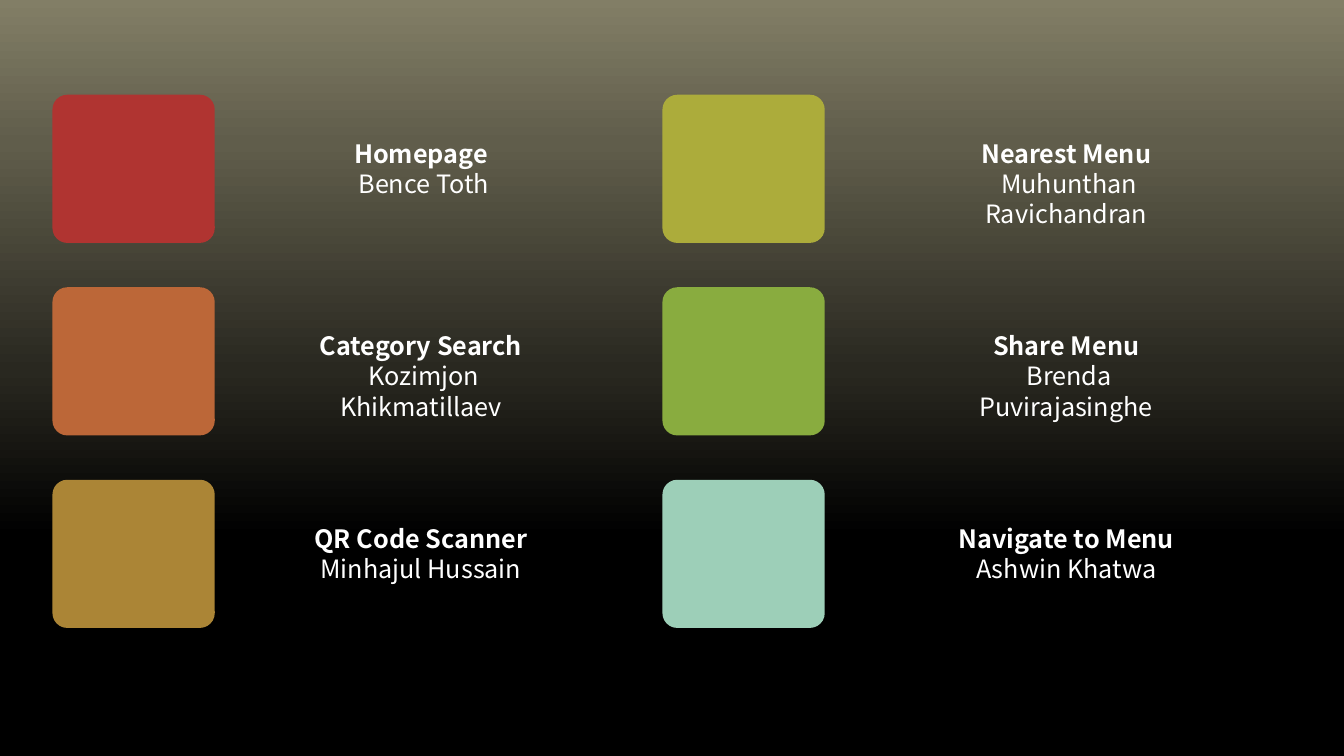
from copy import deepcopy

from pptx import Presentation
from pptx.dml.color import RGBColor
from pptx.enum.shapes import MSO_SHAPE
from pptx.enum.text import MSO_AUTO_SIZE, PP_ALIGN
from pptx.oxml.ns import qn
from pptx.util import Inches, Pt

ROUNDED = MSO_SHAPE.ROUNDED_RECTANGLE
CENTER = PP_ALIGN.CENTER
FIT_SHAPE = MSO_AUTO_SIZE.SHAPE_TO_FIT_TEXT

FONT = "Noto Sans CJK TC"
GRADIENT = [(0, "827E66"), (0.19, "605D4B"), (0.49, "292820"), (0.71, "000000")]
ROW_PITCH = 1.91
# Each column: tile left, label left, then (feature, member, tile colour) by row
COLUMNS = [
    (0.52, 2.89, [
        ("Homepage", " Bence Toth", "B03431"),
        ("Category Search", " Kozimjon Khikmatillaev", "BC6738"),
        ("QR Code Scanner", "Minhajul Hussain", "AB8536"),
    ]),
    (6.57, 9.29, [
        ("Nearest Menu", " Muhunthan Ravichandran", "ACAC3B"),
        ("Share Menu", " Brenda Puvirajasinghe", "89AC3F"),
        ("Navigate to Menu", "Ashwin Khatwa", "9DCFB8"),
    ]),
]


def color(hex_string):
    return RGBColor.from_string(hex_string)


presentation = Presentation()
presentation.slide_width = Inches(13.33)
presentation.slide_height = Inches(7.5)
slide = presentation.slides.add_slide(presentation.slide_layouts[6])

# Background gradient, top to bottom
background = slide.background.fill
background.gradient()
background.gradient_angle = 270
stop_list = next(slide.element.iter(qn("a:gsLst")))
while len(stop_list) < len(GRADIENT):
    stop_list.append(deepcopy(stop_list[0]))
for stop, (position, hex_string) in zip(background.gradient_stops, GRADIENT):
    stop.position = position
    stop.color.rgb = color(hex_string)

# Feature tiles with their labels
for tile_left, label_left, features in COLUMNS:
    for row, (feature, member, tile_color) in enumerate(features):
        offset = row * ROW_PITCH
        tile = slide.shapes.add_shape(
            ROUNDED, Inches(tile_left), Inches(0.94 + offset), Inches(1.61), Inches(1.47))
        tile.adjustments[0] = 0.1
        tile.shadow.inherit = False
        tile.fill.solid()
        tile.fill.fore_color.rgb = color(tile_color)
        tile.line.fill.background()

        height = 1.01 if len(member) > 20 else 0.71
        label = slide.shapes.add_textbox(
            Inches(label_left), Inches(1.32 + offset), Inches(2.57), Inches(height))
        text_frame = label.text_frame
        text_frame.word_wrap = True
        text_frame.auto_size = FIT_SHAPE
        text_frame.text = f"{feature}\n{member}"
        for paragraph in text_frame.paragraphs:
            paragraph.alignment = CENTER
            font = paragraph.runs[0].font
            font.name = FONT
            font.size = Pt(18)
            font.color.rgb = color("FFFFFF")
        text_frame.paragraphs[0].runs[0].font.bold = True
        text_frame.paragraphs[1].runs[0].font.bold = False

presentation.save("out.pptx")
